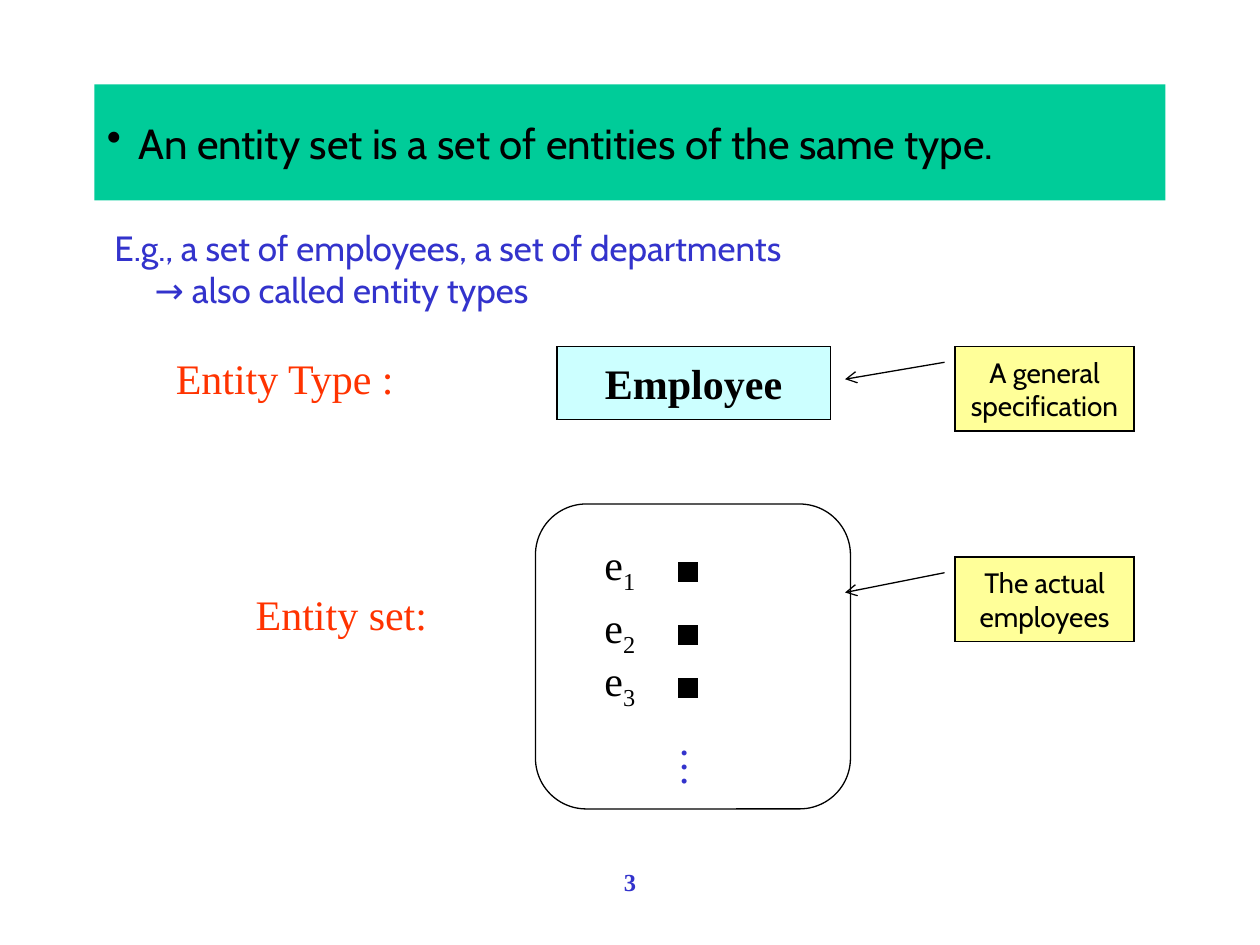
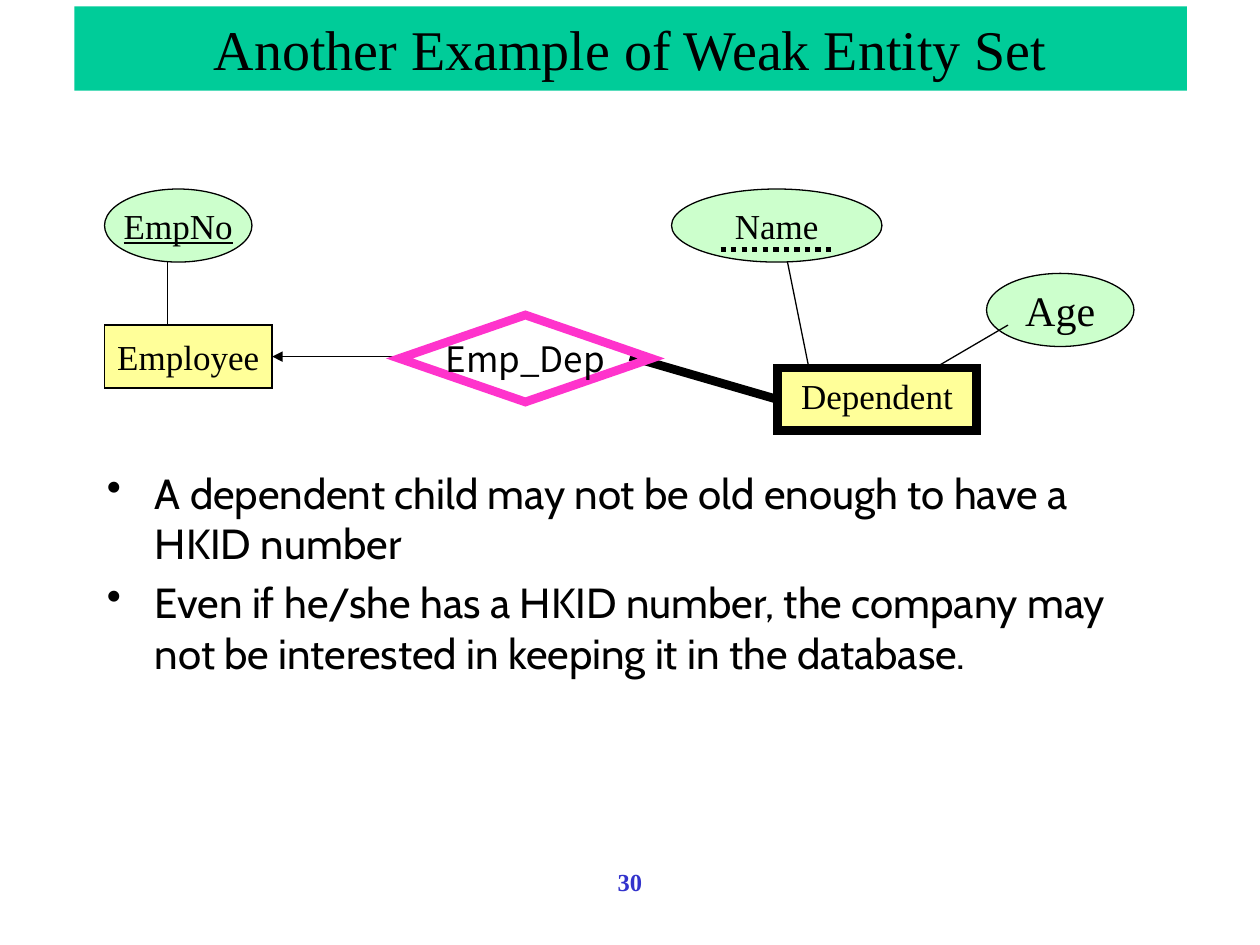
from dataclasses import dataclass
from typing import Optional

from lxml import etree
from pptx import Presentation
from pptx.dml.color import RGBColor
from pptx.enum import dml, shapes, text
from pptx.oxml import ns
from pptx.util import Inches, Pt

KIND = shapes.MSO_SHAPE
MID, TOP = text.MSO_ANCHOR.MIDDLE, text.MSO_ANCHOR.TOP
MITTE, LEFT = text.PP_ALIGN.CENTER, text.PP_ALIGN.LEFT


@dataclass(frozen=True)
class Theme:
    black: str = "000000"
    white: str = "FFFFFF"
    green: str = "00CC99"
    blue: str = "3333CC"
    red: str = "FF3300"
    cyan: str = "CCFFFF"
    lemon: str = "FFFF99"
    mint: str = "CCFFCC"
    pink: str = "FF33CC"
    serif: str = "Times New Roman"
    sans: str = "Cabin"
    asian: str = "Noto Sans CJK KR"
    head: int = 32
    large: int = 24
    base: int = 20
    note: int = 16
    foot: int = 14
    thin: float = 0.75
    thick: float = 5


T = Theme()


@dataclass(frozen=True)
class Type:
    size: int = T.base
    font: str = T.serif
    color: str = T.black
    bold: bool = False
    under: bool = False
    align: int = MITTE
    anchor: int = MID
    wrap: bool = False
    margin: float = 0
    indent: float = 0
    bullet: str = ""


BIG = Type(T.large)
NOTE = Type(T.note, T.sans, wrap=True)
HEAD = Type(T.head, wrap=True)
LEAD = Type(T.large, T.sans, align=LEFT, wrap=True, margin=0.25, indent=-0.25, bullet="•")
LIST = Type(T.large, T.sans, align=LEFT, anchor=TOP, wrap=True,
            margin=0.38, indent=-0.38, bullet="•")
HINT = Type(T.base, T.sans, T.blue, align=LEFT, anchor=TOP, wrap=True,
            margin=0.38, indent=-0.32)
FOOT = Type(T.foot, color=T.blue, bold=True, anchor=TOP, wrap=True)
LABEL = Type(T.large, color=T.red)


@dataclass(frozen=True)
class Box:
    at: tuple[float, float, float, float]
    words: str = ""
    type: Type = Type()
    kind: Optional[int] = None
    fill: str = ""
    line: str = ""
    width: float = T.thin
    adjust: tuple[float, ...] = ()


@dataclass(frozen=True)
class Link:
    start: tuple[float, float]
    end: tuple[float, float]
    width: float = T.thin
    arrow: str = ""
    dash: Optional[int] = None


def add(parent, tag: str, **attrs: str):
    return etree.SubElement(parent, ns.qn(tag), **attrs)


def write(shape, words: str, style: Type) -> None:
    frame = shape.text_frame
    frame.text = words
    frame.word_wrap = style.wrap
    frame.vertical_anchor = style.anchor
    for spot, para in enumerate(frame.paragraphs):
        para.alignment = style.align
        props = para._p.get_or_add_pPr()
        props.set("marL", str(Inches(style.margin)))
        props.set("indent", str(Inches(style.indent)))
        if spot:
            para.space_before = Pt(5)
        if style.bullet:
            add(props, "a:buChar", char=style.bullet)
        for run in para.runs:
            font = run.font
            font.size = Pt(style.size)
            font.name = style.font
            font.bold = style.bold
            font.underline = style.under
            font.color.rgb = RGBColor.from_string(style.color)


def draw(slide, box: Box):
    place = [Inches(n) for n in box.at]
    if box.kind is None:
        shape = slide.shapes.add_textbox(*place)
    else:
        shape = slide.shapes.add_shape(box.kind, *place)
        shape.shadow.inherit = False
        if box.fill:
            shape.fill.solid()
            shape.fill.fore_color.rgb = RGBColor.from_string(box.fill)
        else:
            shape.fill.background()
        if box.line:
            shape.line.color.rgb = RGBColor.from_string(box.line)
            shape.line.width = Pt(box.width)
            add(shape.line._get_or_add_ln(), "a:miter", lim="800000")
        else:
            shape.line.fill.background()
        for spot, value in enumerate(box.adjust):
            shape.adjustments[spot] = value
    if box.words:
        write(shape, box.words, box.type)
    return shape


def join(slide, link: Link):
    ends = [Inches(n) for n in link.start + link.end]
    line = slide.shapes.add_connector(shapes.MSO_CONNECTOR.STRAIGHT, *ends)
    line.line.color.rgb = RGBColor.from_string(T.black)
    line.line.width = Pt(link.width)
    if link.dash is not None:
        line.line.dash_style = link.dash
    if link.arrow:
        add(line.line._get_or_add_ln(), "a:tailEnd", type=link.arrow)
    add(line._element.spPr, "a:effectLst")
    return line


def start(deck, number: str):
    slide = deck.slides.add_slide(deck.slide_layouts[6])
    draw(slide, Box((0.5, 6.83, 9, 0.5), number, FOOT))
    return slide


def band(slide, at: tuple[float, float, float, float], words: str, style: Type) -> None:
    draw(slide, Box(at, words, style, KIND.RECTANGLE, T.green))


def node(at: tuple[float, float, float, float], words: str, style: Type = Type()) -> Box:
    return Box(at, words, style, KIND.OVAL, T.mint, T.black)


def types(deck) -> None:
    slide = start(deck, "3")
    band(slide, (0.75, 0.67, 8.5, 0.92),
         "An entity set is a set of entities of the same type.", LEAD)
    for box in (
        Box((0.75, 1.75, 8.5, 4.92),
            "E.g., a set of employees, a set of departments\v→ also called entity types", HINT),
        Box((4.42, 2.75, 2.17, 0.58), "Employee", Type(T.large, bold=True),
            KIND.RECTANGLE, T.cyan, T.black),
        Box((1.28, 2.75, 1.96, 0.5), "Entity Type :", LABEL),
        Box((4.25, 4, 2.5, 2.42), kind=KIND.FLOWCHART_ALTERNATE_PROCESS,
            fill=T.white, line=T.black),
        Box((1.93, 4.62, 1.56, 0.5), "Entity set:", LABEL),
    ):
        draw(slide, box)

    for count, top in enumerate((4.25, 4.75, 5.17), 1):
        draw(slide, Box((5.42, top + 0.25, 0.08, 0.08), kind=KIND.RECTANGLE,
                        fill=T.black, line=T.black, width=6))
        name = draw(slide, Box((4.69, top, 0.46, 0.5), "e", BIG))
        para = name.text_frame.paragraphs[0]
        para.add_run().text = str(count)
        low = para.runs[1].font
        low.size, low.name = Pt(T.large), T.serif
        low.color.rgb = RGBColor.from_string(T.black)
        para.runs[1]._r.get_or_add_rPr().set("baseline", "-25000")

    dots = draw(slide, Box((5.25, 5.83, 0.6, 0.43), "…", Type(T.large, color=T.blue)))
    dots.text_frame._txBody.bodyPr.set("vert", "eaVert")

    for top, words, drop in ((4.42, "The actual employees", 0.422),
                             (2.75, "A general specification", 0.388)):
        note = draw(slide, Box((7.58, top, 1.42, 0.67), words, NOTE, KIND.LINE_CALLOUT_1,
                               T.lemon, T.black, adjust=(0.188, -0.059, drop, -0.615)))
        add(note.line._get_or_add_ln(), "a:tailEnd", type="arrow")


def weak(deck) -> None:
    slide = start(deck, "30")
    draw(slide, Box((0.75, 3.66, 8.5, 2.67),
                    "A dependent child may not be old enough to have a HKID number\n"
                    "Even if he/she has a HKID number, the company may not be "
                    "interested in keeping it in the database.", LIST))
    for oval in (
        node((0.83, 1.5, 1.17, 0.58), "EmpNo", Type(under=True)),
        node((5.33, 1.5, 1.67, 0.58), "Name"),
        node((7.83, 2.17, 1.17, 0.58), "Age", BIG),
    ):
        draw(slide, oval)
    staff = draw(slide, Box((0.83, 2.58, 1.33, 0.5), "Employee", Type(),
                            KIND.RECTANGLE, T.lemon, T.black))
    child = draw(slide, Box((6.17, 2.92, 1.58, 0.5), "Dependent",
                            Type(anchor=TOP, wrap=True),
                            KIND.RECTANGLE, T.lemon, T.black, T.thick))
    join(slide, Link((3.17, 2.83), (2.16, 2.83), arrow="triangle")).end_connect(staff, 3)
    join(slide, Link((5, 2.83), (6.17, 3.17), T.thick)).end_connect(child, 1)
    for link in (
        Link((1.33, 2.08), (1.33, 2.58)),
        Link((6.25, 2.08), (6.42, 2.92)),
        Link((8, 2.58), (7.42, 2.92)),
        Link((5.72, 1.98), (6.62, 1.98), 3, dash=dml.MSO_LINE.ROUND_DOT),
    ):
        join(slide, link)
    draw(slide, Box((3.17, 2.5, 2, 0.69), "Emp_Dep", Type(font=T.asian),
                    KIND.FLOWCHART_DECISION, line=T.pink, width=T.thick))
    band(slide, (0.59, 0.05, 8.83, 0.67), "Another Example of Weak Entity Set", HEAD)


def main() -> None:
    deck = Presentation()
    deck.slide_width, deck.slide_height = Inches(10), Inches(7.5)
    types(deck)
    weak(deck)
    deck.save("out.pptx")


if __name__ == "__main__":
    main()
